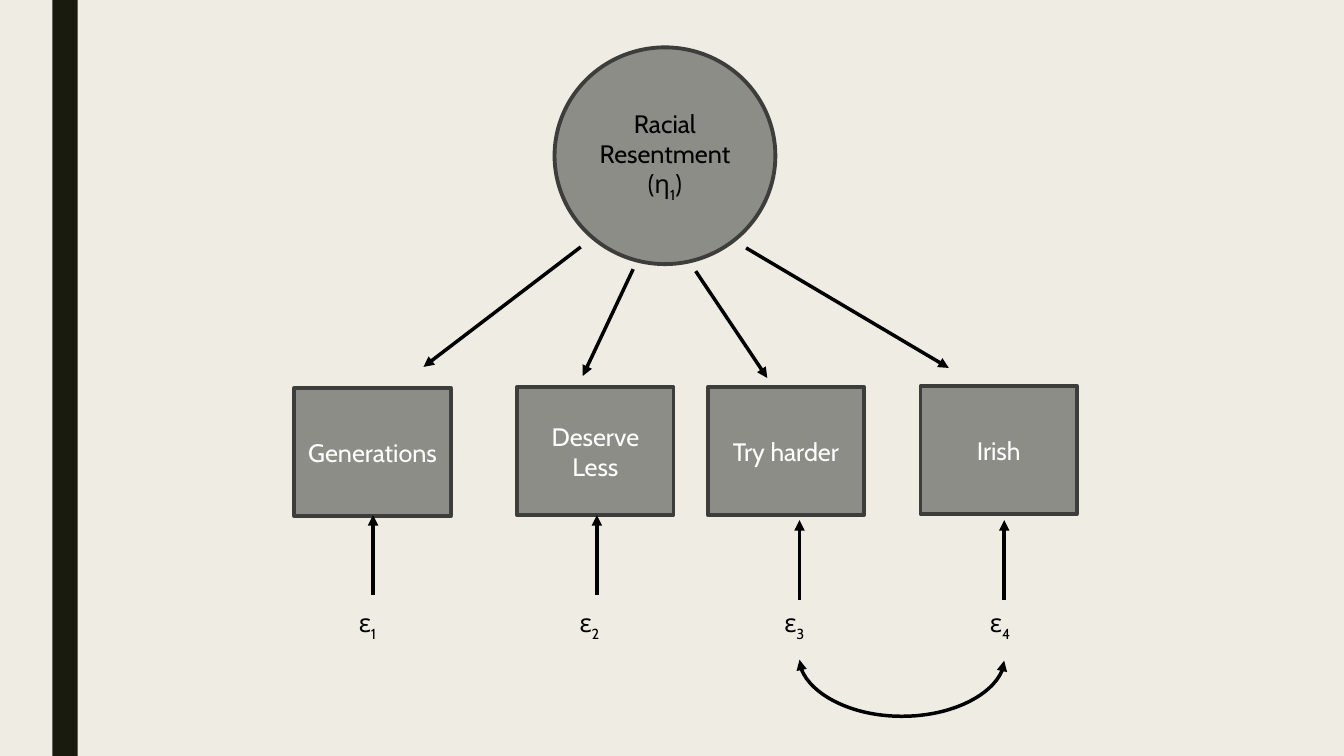
"""Draw a one-factor path diagram of racial resentment."""
from dataclasses import dataclass
from lxml.etree import SubElement as Sub
from pptx import Presentation
from pptx.dml.color import RGBColor as Rgb
from pptx.enum.shapes import MSO_CONNECTOR as Link, MSO_SHAPE as Kind
from pptx.enum.text import MSO_ANCHOR as Anchor, MSO_AUTO_SIZE as Fit, PP_ALIGN as Align
from pptx.oxml.ns import qn
from pptx.util import Inches, Pt


@dataclass(frozen=True)
class Theme:
    paper: Rgb = Rgb.from_string("EFEDE3")
    bar: Rgb = Rgb.from_string("191B0E")
    fill: Rgb = Rgb.from_string("8C8D86")
    edge: Rgb = Rgb.from_string("3D3E3B")
    ink: Rgb = Rgb.from_string("000000")
    white: Rgb = Rgb.from_string("FFFFFF")
    font: str = "Cabin"
    size: Pt = Pt(18)
    rim: Pt = Pt(2.75)
    stroke: Pt = Pt(2.5)


def apply(item, form):
    for name, value in form.items():
        setattr(item, name, value)


class Board:
    def __init__(self, deck, theme):
        self.theme = theme
        self.slide = deck.slides.add_slide(deck.slide_layouts[6])
        self.shapes = self.slide.shapes
        paint = self.slide.background.fill
        paint.solid()
        paint.fore_color.rgb = theme.paper

    def letter(self, frame, lines, color, align):
        for i, parts in enumerate(lines):
            para = frame.paragraphs[0] if i == 0 else frame.add_paragraph()
            para.alignment = align
            for text, low in parts:
                run = para.add_run()
                run.text = text
                apply(run.font, {"name": self.theme.font, "size": self.theme.size})
                run.font.color.rgb = color
                if low:
                    run._r.get_or_add_rPr().set("baseline", "-25000")

    def shape(self, kind, box, fill, edge=None):
        shape = self.shapes.add_shape(kind, *map(Inches, box))
        shape.shadow.inherit = False
        shape.fill.solid()
        shape.fill.fore_color.rgb = fill
        if edge is None:
            shape.line.fill.background()
        else:
            shape.line.color.rgb = edge
            shape.line.width = self.theme.rim
        return shape

    def node(self, kind, box, lines, color):
        shape = self.shape(kind, box, self.theme.fill, self.theme.edge)
        apply(shape.text_frame, {"word_wrap": True, "vertical_anchor": Anchor.MIDDLE})
        self.letter(shape.text_frame, lines, color, Align.CENTER)

    def label(self, box, lines):
        frame = self.shapes.add_textbox(*map(Inches, box)).text_frame
        apply(frame, {"word_wrap": True, "auto_size": Fit.SHAPE_TO_FIT_TEXT})
        self.letter(frame, lines, self.theme.ink, Align.LEFT)

    def arrow(self, start, end, kind=Link.STRAIGHT, heads=("tailEnd",)):
        link = self.shapes.add_connector(kind, *map(Inches, start + end))
        link.line.color.rgb = self.theme.ink
        link.line.width = self.theme.stroke
        props = link._element.spPr
        for head in heads:
            Sub(props.get_or_add_ln(), qn("a:" + head), type="triangle")
        Sub(props, qn("a:effectLst"))
        return link

    def arc(self, left, right, top, depth):
        mid, half, thin = (left + right) / 2, (right - left) / 2, 0.01
        link = self.arrow((mid + thin / 2, top - half), (mid - thin / 2, top + half),
                          Link.CURVE, ("headEnd", "tailEnd"))
        props = link._element.spPr
        props.find(qn("a:xfrm")).set("rot", str(270 * 60000))
        guides = props.find(qn("a:prstGeom")).get_or_add_avLst()
        Sub(guides, qn("a:gd"), name="adj1", fmla=f"val {round(depth / thin * 100000)}")


def main():
    deck = Presentation()
    apply(deck, {"slide_width": Inches(13.33), "slide_height": Inches(7.5)})
    theme = Theme()
    board = Board(deck, theme)
    board.shape(Kind.RECTANGLE, (0.52, 0, 0.25, 7.5), theme.bar)
    factor = [[("Racial Resentment", False)], [("(η", False), ("1", True), (")", False)]]
    board.node(Kind.OVAL, (5.5, 0.47, 2.19, 2.15), factor, theme.ink)

    items = [
        ("Generations", (2.92, 3.85), (5.76, 2.45), (4.2, 3.64), (3.7, 5.11), 3.46),
        ("Deserve Less", (5.13, 3.84), (6.28, 2.67), (5.78, 3.73), (5.92, 5.11), 5.65),
        ("Try harder", (7.02, 3.84), (6.9, 2.69), (7.61, 3.75), (7.93, 5.16), 7.68),
        ("Irish", (9.13, 3.83), (7.4, 2.46), (9.41, 3.65), (9.96, 5.16), 9.72),
    ]
    for i, (name, spot, start, end, tip, left) in enumerate(items, 1):
        board.node(Kind.RECTANGLE, spot + (1.55, 1.27), [[(name, False)]], theme.white)
        board.arrow(start, end)
        board.arrow((tip[0], tip[1] + 0.79), tip)
        board.label((left, 5.98, 0.49, 0.4), [[("ε", False), (str(i), True)]])
    board.arc(7.93, 9.96, 6.55, 0.57)
    deck.save("out.pptx")


if __name__ == "__main__":
    main()
